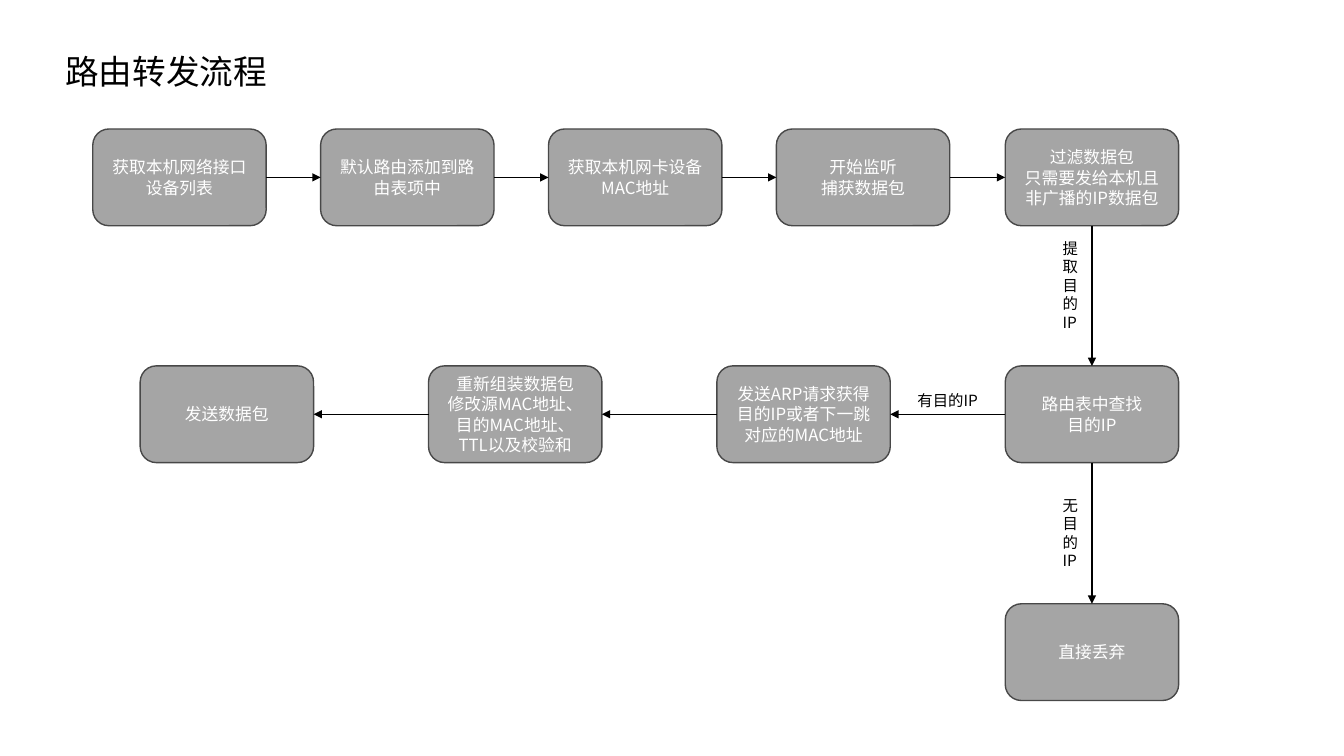
from pptx import Presentation
from pptx.dml.color import RGBColor
from pptx.enum.shapes import MSO_CONNECTOR as CONN, MSO_SHAPE as SHAPE
from pptx.enum.text import MSO_ANCHOR as ANCHOR, MSO_AUTO_SIZE as SIZE, PP_ALIGN as ALIGN
from pptx.oxml.ns import qn
from pptx.util import Pt
from lxml.etree import SubElement

PX = 9144  # 100 px to the inch
FONT = "Noto Sans CJK SC"
BLACK = RGBColor(0x00, 0x00, 0x00)
WHITE = RGBColor(0xFF, 0xFF, 0xFF)
GREY = RGBColor(0xA5, 0xA5, 0xA5)
DARK = RGBColor(0x48, 0x48, 0x48)
TOP, LEFT, BOTTOM, RIGHT = range(4)
WIDE, HIGH = 172, 96

deck = Presentation()
deck.slide_width, deck.slide_height = 1333 * PX, 750 * PX
slide = deck.slides.add_slide(deck.slide_layouts[6])
shapes = slide.shapes


def write(frame, text, size, color, align):
    for i, line in enumerate(text.split("\n")):
        para = frame.add_paragraph() if i else frame.paragraphs[0]
        para.alignment = align
        run = para.add_run()
        run.text = line
        run.font.size = Pt(size)
        run.font.name = FONT
        run.font.color.rgb = color
        SubElement(run.font._element, qn("a:ea"), typeface=FONT)


# Steps: the top row runs right, the middle row left, the last one is below
top = [
    "获取本机网络接口设备列表",
    "默认路由添加到路由表项中",
    "获取本机网卡设备MAC地址",
    "开始监听\n捕获数据包",
    "过滤数据包\n只需要发给本机且非广播的IP数据包",
]
middle = [
    "路由表中查找\n目的IP",
    "发送ARP请求获得目的IP或者下一跳对应的MAC地址",
    "重新组装数据包\n修改源MAC地址、目的MAC地址、TTL以及校验和",
    "发送数据包",
]
steps = [(92 + 905 * i // 4, 128, text) for i, text in enumerate(top)]
steps += [(997 - 286 * i, 363, text) for i, text in enumerate(middle)]
steps.append((997, 599, "直接丢弃"))

boxes = []
for x, y, text in steps:
    box = shapes.add_shape(SHAPE.ROUNDED_RECTANGLE, x * PX, y * PX, WIDE * PX, HIGH * PX)
    box.shadow.inherit = False
    box.fill.solid()
    box.fill.fore_color.rgb = GREY
    box.line.color.rgb = DARK
    box.line.width = Pt(1)
    frame = box.text_frame
    frame.word_wrap = True
    frame.vertical_anchor = ANCHOR.MIDDLE
    write(frame, text, 12, WHITE, ALIGN.CENTER)
    boxes.append(box)

# Arrows: first box, its side, second box, its side
links = [(i, RIGHT, i + 1, LEFT) for i in range(4)]
links += [(i, LEFT, i + 1, RIGHT) for i in range(5, 8)]
links += [(4, BOTTOM, 5, TOP), (5, BOTTOM, 9, TOP)]
for start, out, end, into in links:
    arrow = shapes.add_connector(CONN.STRAIGHT, 0, 0, 0, 0)
    arrow.begin_connect(boxes[start], out)
    arrow.end_connect(boxes[end], into)
    arrow.line.color.rgb = BLACK
    arrow.line.width = Pt(1)
    SubElement(arrow.line._get_or_add_ln(), qn("a:tailEnd"), type="triangle")
    SubElement(arrow._element.spPr, qn("a:effectLst"))

# Title and arrow labels
labels = [
    (55, 46, 222, 50, "路由转发流程", 24, False),
    (1044, 232, 39, 103, "提取目的IP", 11, True),
    (1044, 487, 39, 84, "无目的IP", 11, True),
    (900, 383, 85, 29, "有目的IP", 11, True),
]
for x, y, wide, high, text, size, wrap in labels:
    frame = shapes.add_textbox(x * PX, y * PX, wide * PX, high * PX).text_frame
    frame.word_wrap = wrap
    frame.auto_size = SIZE.SHAPE_TO_FIT_TEXT
    write(frame, text, size, BLACK, ALIGN.LEFT)

deck.save("out.pptx")
